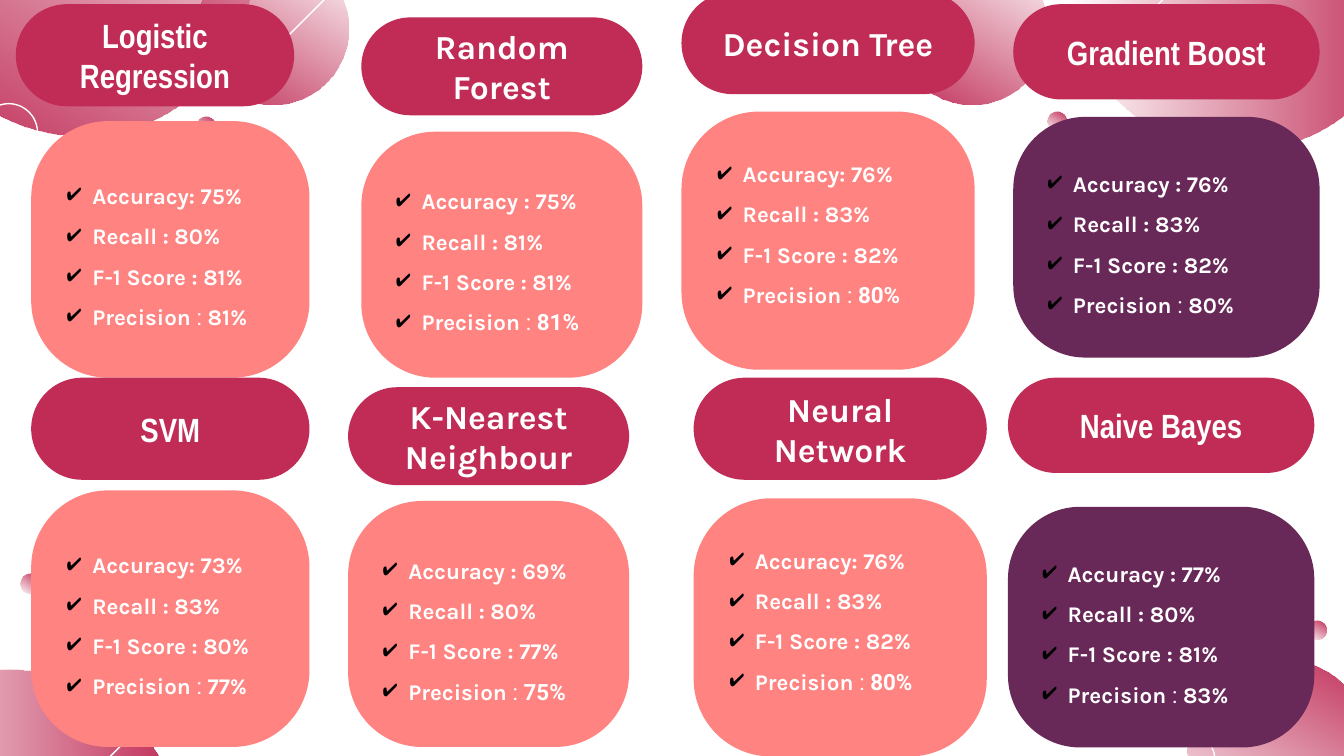
from lxml import etree
from pptx import Presentation
from pptx.dml.color import RGBColor
from pptx.enum.shapes import MSO_CONNECTOR, MSO_SHAPE
from pptx.enum.text import MSO_ANCHOR, PP_ALIGN
from pptx.oxml.ns import qn
from pptx.util import Cm, Pt

OVAL = MSO_SHAPE.OVAL
ROUNDED = MSO_SHAPE.ROUNDED_RECTANGLE
STRAIGHT = MSO_CONNECTOR.STRAIGHT
MIDDLE = MSO_ANCHOR.MIDDLE
LEFT, CENTER = PP_ALIGN.LEFT, PP_ALIGN.CENTER

WHITE = RGBColor(0xFF, 0xFF, 0xFF)
CRIMSON = RGBColor(0xC0, 0x2C, 0x56)
CORAL = RGBColor(0xFE, 0x83, 0x81)
PLUM = RGBColor(0x68, 0x29, 0x58)


def add_box(left, top, width, height, roundness, color):
    box = page.shapes.add_shape(ROUNDED, Cm(left), Cm(top), Cm(width), Cm(height))
    box.adjustments[0] = roundness
    box.shadow.inherit = False
    box.fill.solid()
    box.fill.fore_color.rgb = color
    box.line.fill.background()
    frame = box.text_frame
    frame.word_wrap = True
    frame.vertical_anchor = MIDDLE
    frame.margin_left = frame.margin_right = Cm(0.25)
    frame.margin_top = frame.margin_bottom = Cm(0.25)
    return box


def add_span(para, text, font, size, bold=True):
    span = para.add_run()
    span.text = text
    span.font.name = font
    span.font.size = Pt(size)
    span.font.bold = bold
    span.font.color.rgb = WHITE


deck = Presentation()
deck.slide_width, deck.slide_height = Cm(25.4), Cm(14.29)
page = deck.slides.add_slide(deck.slide_layouts[6])

# Background discs: left, top, diameter, clockwise angle, index of the clear stop
discs = [
    (-1.7, -3.91, 6.48, 121, 0),
    (0.38, 10.85, 0.36, 121, 1),
    (3.71, -0.89, 2.87, 121, 0),
    (-3.07, 12.65, 6.48, 0, 0),
    (20.17, -3.63, 6.48, 0, 0),
    (22.45, 12.45, 3.48, 121, 1),
    (19.79, 2.11, 0.36, 121, 1),
    (24.71, 11.73, 0.36, 121, 1),
    (16.92, -0.89, 2.87, 121, 0),
    (3.71, 2.21, 0.36, 121, 1),
]
for left, top, size, angle, clear_stop in discs:
    disc = page.shapes.add_shape(OVAL, Cm(left), Cm(top), Cm(size), Cm(size))
    disc.shadow.inherit = False
    disc.line.fill.background()
    disc.fill.gradient()
    disc.fill.gradient_angle = -angle % 360
    for stop in disc.fill.gradient_stops:
        stop.color.rgb = CRIMSON
    stop_colors = disc.element.spPr.findall(".//" + qn("a:srgbClr"))
    etree.SubElement(stop_colors[clear_stop], qn("a:alpha"), val="0")

# Thin white rings
for left, top in [(-0.38, 1.96), (21.87, 13.82)]:
    ring = page.shapes.add_shape(OVAL, Cm(left), Cm(top), Cm(1.09), Cm(1.09))
    ring.shadow.inherit = False
    ring.fill.background()
    ring.line.color.rgb = WHITE
    ring.line.width = Pt(0.75)

# Thin white diagonals, running down to the left
for right, top in [(6.48, -0.36), (2.82, 13.56), (21.97, 0)]:
    stroke = page.shapes.add_connector(
        STRAIGHT, Cm(right), Cm(top), Cm(right - 1.07), Cm(top + 1.07))
    stroke.line.color.rgb = WHITE
    stroke.line.width = Pt(0.75)
    etree.SubElement(stroke.element.spPr, qn("a:effectLst"))

# Columns: width, heading height, card height, bottom margin, card colour,
# heading font, font of the precision value, accuracy label
columns = [
    (5.26, 1.93, 4.85, 0.25, CORAL, "Arial Narrow", "Karla", "Accuracy:"),
    (5.31, 1.85, 4.65, 0.25, CORAL, "Karla", "Roboto", "Accuracy :"),
    (5.54, 1.93, 4.88, 0.75, CORAL, "Karla", "Roboto", "Accuracy:"),
    (5.79, 1.8, 4.55, 0.25, PLUM, "Arial Narrow", "Karla", "Accuracy :"),
]

# Models: name, column, heading left and top, card left and top,
# accuracy, recall, F-1 score, precision
models = [
    ("Logistic Regression", 0, 0.3, 0.08, 0.59, 2.29, (75, 80, 81, 81)),
    ("Random Forest", 1, 6.83, 0.33, 6.83, 2.49, (75, 81, 81, 81)),
    ("Decision Tree", 2, 12.88, -0.15, 12.88, 2.11, (76, 83, 82, 80)),
    ("Gradient Boost", 3, 19.15, 0.08, 19.15, 2.21, (76, 83, 82, 80)),
    ("SVM", 0, 0.59, 7.14, 0.59, 9.27, (73, 83, 80, 77)),
    ("K-Nearest Neighbour", 1, 6.58, 7.32, 6.58, 9.47, (69, 80, 77, 75)),
    ("Neural Network", 2, 13.11, 7.14, 13.11, 9.42, (76, 83, 82, 80)),
    ("Naive Bayes", 3, 19.05, 7.14, 19.05, 9.58, (77, 80, 81, 83)),
]
for name, column, head_left, head_top, card_left, card_top, scores in models:
    (width, head_height, card_height, bottom, color,
     head_font, value_font, accuracy_label) = columns[column]

    # Card with the four scores
    card = add_box(card_left, card_top, width, card_height, 0.3, color)
    card.text_frame.margin_bottom = Cm(bottom)
    labels = [accuracy_label, "Recall :", "F-1 Score :", "Precision"]
    for index, (label, score) in enumerate(zip(labels, scores)):
        para = card.text_frame.paragraphs[0] if index == 0 else card.text_frame.add_paragraph()
        para.alignment = LEFT
        para.line_spacing = 1.5
        props = para._p.get_or_add_pPr()
        props.set("marL", str(Cm(0.48)))
        props.set("indent", str(-Cm(0.48)))
        bullet_color = etree.SubElement(props, qn("a:buClr"))
        etree.SubElement(bullet_color, qn("a:srgbClr"), val="000000")
        etree.SubElement(props, qn("a:buChar"), char="✔")
        if label == "Precision":
            add_span(para, "Precision ", "Karla", 12)
            add_span(para, ": ", "Roboto", 12, bold=False)
            add_span(para, f"{score}%", value_font, 12)
        else:
            add_span(para, f"{label} {score}%", "Karla", 12)

    # Heading pill
    heading = add_box(head_left, head_top, width, head_height, 0.5, CRIMSON)
    para = heading.text_frame.paragraphs[0]
    para.alignment = CENTER
    add_span(para, name, head_font, 18)

deck.save("out.pptx")
